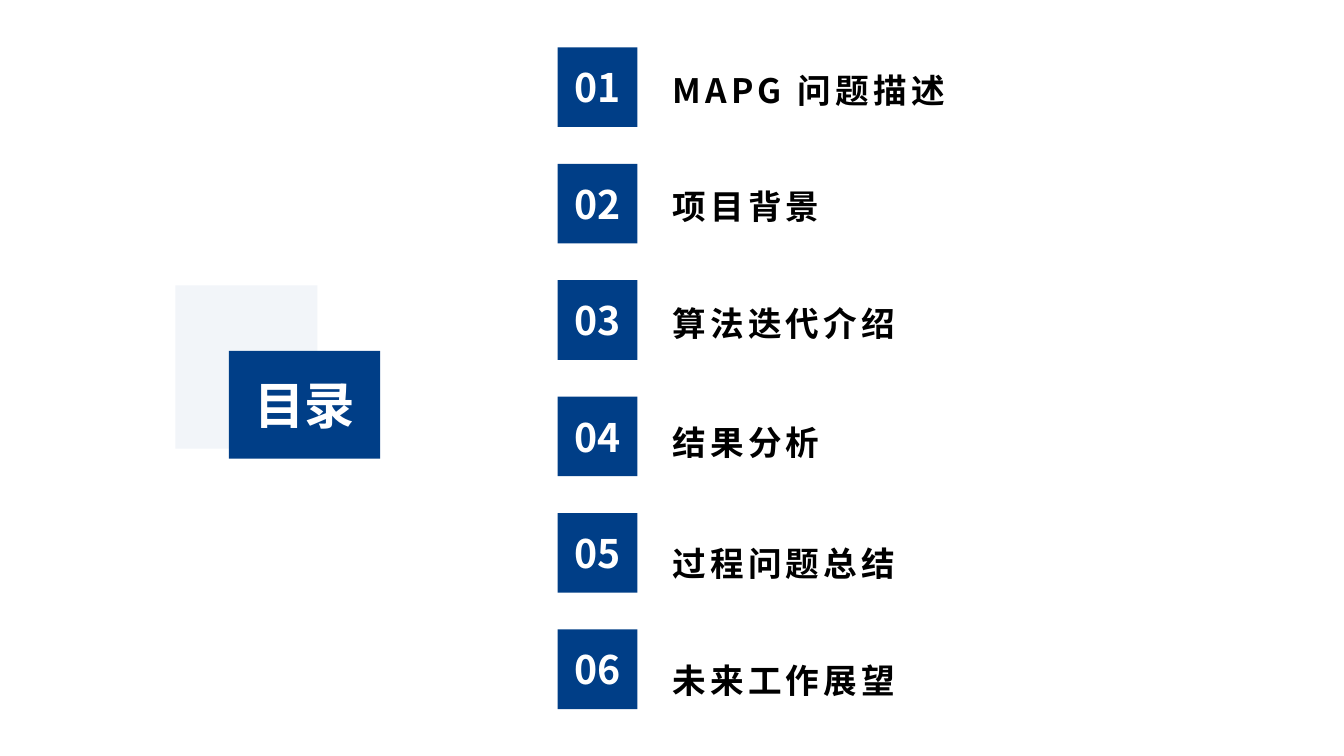
from lxml import etree
from pptx import Presentation
from pptx import util as u
from pptx.dml.color import RGBColor
from pptx.enum import shapes, text
from pptx.oxml import ns

NAVY = RGBColor(0x00, 0x3E, 0x87)
PALE = RGBColor(0xF2, 0xF5, 0xF9)
WHITE = RGBColor(0xFF, 0xFF, 0xFF)
BLACK = RGBColor(0x00, 0x00, 0x00)
FONT = "Noto Sans CJK SC"
LINE = 32
TOPICS = [
    ("MAPG 问题描述", 0),
    ("项目背景", 51),
    ("算法迭代介绍", 51.5),
    ("结果分析", 53),
    ("过程问题总结", 54.5),
    ("未来工作展望", 51.5),
]


class Deck:
    """Hold the style and the current slide; boxes are percent shares of its size."""

    def __init__(self):
        self.prs = Presentation()
        self.prs.slide_width = u.Inches(13.33)
        self.prs.slide_height = u.Inches(7.5)
        self.slide = self.prs.slides.add_slide(self.prs.slide_layouts[1])

    def area(self, x, y, w, h):
        wide, high = self.prs.slide_width, self.prs.slide_height
        return [int(wide * x / 100), int(high * y / 100),
                int(wide * w / 100), int(high * h / 100)]

    def place(self, item, box):
        item.left, item.top, item.width, item.height = self.area(*box)
        self.slide.shapes._spTree.append(item._element)
        item.text_frame.auto_size = text.MSO_AUTO_SIZE.NONE
        item.text_frame.word_wrap = True

    def label(self, para, words, size, color, gap=0):
        run = para.add_run()
        run.text = words
        font = run.font
        font.name, font.size, font.bold = FONT, u.Pt(size), True
        font.color.rgb = color
        props = run._r.get_or_add_rPr()
        etree.SubElement(props, ns.qn("a:ea")).set("typeface", FONT)
        if gap:
            props.set("spc", str(gap * 100))

    def center(self, item, words, size):
        frame = item.text_frame
        frame.vertical_anchor = text.MSO_ANCHOR.MIDDLE
        para = frame.paragraphs[0]
        para.alignment = text.PP_ALIGN.CENTER
        self.label(para, words, size, WHITE)

    def block(self, box, color, words=""):
        item = self.slide.shapes.add_shape(
            shapes.MSO_SHAPE.RECTANGLE, *self.area(*box))
        item.shadow.inherit = False
        item.fill.solid()
        item.fill.fore_color.rgb = color
        item.line.fill.background()
        if words:
            self.center(item, words, 28)

    def title(self, box, words):
        item = self.slide.shapes.title
        self.place(item, box)
        item.fill.solid()
        item.fill.fore_color.rgb = NAVY
        self.center(item, words, 36)

    def topics(self, box, rows):
        item = self.slide.placeholders[1]
        self.place(item, box)
        frame = item.text_frame
        frame.vertical_anchor = text.MSO_ANCHOR.TOP
        for i, (words, space) in enumerate(rows):
            para = frame.add_paragraph() if i else frame.paragraphs[0]
            para.line_spacing = u.Pt(LINE)
            para.space_before = u.Pt(space)
            para.space_after = u.Pt(0)
            props = para._p.get_or_add_pPr()
            props.set("marL", "0")
            props.set("indent", "0")
            etree.SubElement(props, ns.qn("a:buNone"))
            self.label(para, words, 24, BLACK, 3)


def main():
    deck = Deck()
    deck.block((13.05, 37.73, 10.58, 21.6), PALE)
    deck.title((17.03, 46.4, 11.25, 14.27), "目录")
    for i in range(len(TOPICS)):
        deck.block((41.49, 6.27 + 15.4 * i, 5.93, 10.53), NAVY, f"{i + 1:02}")
    deck.topics((49.29, 8, 24, 86), TOPICS)
    deck.prs.save("out.pptx")


if __name__ == "__main__":
    main()
